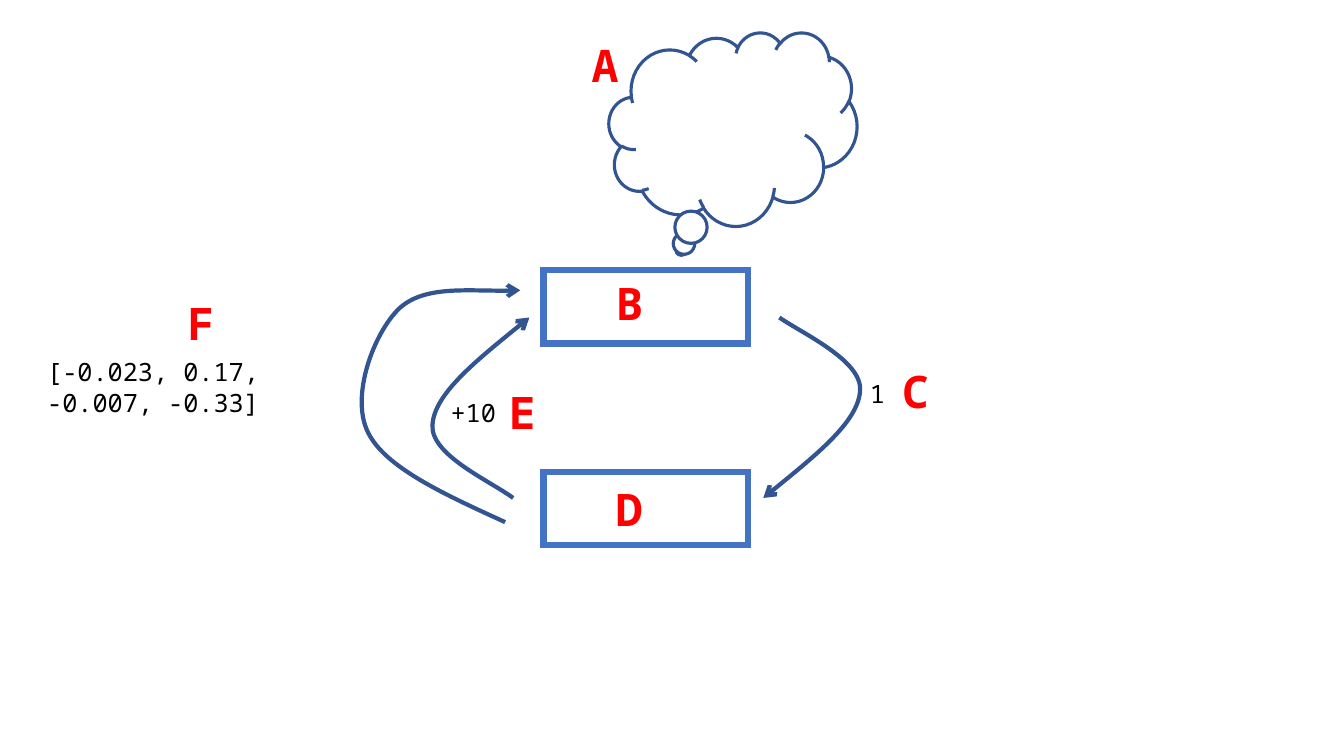
"""Builds a labelled feedback-loop slide with two boxes, a thought cloud and curved arrows."""
from lxml import etree
from pptx import Presentation
from pptx.dml.color import RGBColor
from pptx.enum.shapes import MSO_SHAPE as Preset
from pptx.oxml.ns import qn
from pptx.util import Inches, Pt

FONT = "Noto Sans Mono"
WHITE, BLACK, RED, BLUE, NAVY = "FFFFFF", "000000", "FF0000", "4472C4", "325491"

BOX_LEFT, BOX_WIDTH, BOX_HEIGHT = 5.39, 2.03, 0.73
BOX_TOPS = [2.68, 4.68]
CLOUD = (6.04, 0.32, 2.46, 1.92)
ARROWS = [
    [(5.09, 4.94), (4.86, 4.77), (4.26, 4.51), (4.29, 4.21),
     (4.31, 3.91), (4.78, 3.53), (5.25, 3.15)],
    [(7.73, 3.15), (7.96, 3.31), (8.56, 3.58), (8.53, 3.88),
     (8.51, 4.18), (8.04, 4.56), (7.57, 4.94)],
    [(5.01, 5.18), (4.42, 4.91), (3.82, 4.64), (3.65, 4.29),
     (3.47, 3.93), (3.71, 3.3), (3.96, 3.06),
     (4.21, 2.83), (4.74, 2.9), (5.16, 2.88)],
]
VALUES = [
    ("[-0.023, 0.17, -0.007, -0.33]", 0.37, 3.49),
    ("+10", 4.37, 3.89),
    ("1", 8.53, 3.7),
]
LETTERS = [
    ("A", 5.77, 0.32),
    ("B", 6.01, 2.69),
    ("C", 8.85, 3.56),
    ("D", 6.01, 4.73),
    ("E", 4.95, 3.77),
    ("F", 1.76, 2.88),
]


def color(hex_text):
    return RGBColor.from_string(hex_text)


def set_outline(shape, line_color, points):
    shape.shadow.inherit = False
    shape.line.color.rgb = color(line_color)
    shape.line.width = Pt(points)
    return shape.line._get_or_add_ln()


def add_outlined(slide, preset, place, line_color, points):
    shape = slide.shapes.add_shape(preset, *map(Inches, place))
    shape.fill.solid()
    shape.fill.fore_color.rgb = color(WHITE)
    outline = set_outline(shape, line_color, points)
    etree.SubElement(outline, qn("a:miter"), lim="800000")


def add_curved_arrow(slide, points):
    start, *rest = [(Inches(x), Inches(y)) for x, y in points]
    builder = slide.shapes.build_freeform(*start)
    builder.add_line_segments(rest, close=False)
    arrow = builder.convert_to_shape()
    arrow.fill.background()
    outline = set_outline(arrow, NAVY, 3)
    etree.SubElement(outline, qn("a:tailEnd"), type="arrow")
    segments = list(arrow._element.iter(qn("a:lnTo")))
    for first in range(0, len(segments), 3):
        curve = etree.SubElement(segments[first].getparent(), qn("a:cubicBezTo"))
        for segment in segments[first:first + 3]:
            curve.append(segment[0])
            segment.getparent().remove(segment)


def add_text(slide, text, place, size, text_color, bold=False):
    frame = slide.shapes.add_textbox(*map(Inches, place)).text_frame
    frame.word_wrap = True
    run = frame.paragraphs[0].add_run()
    run.text = text
    run.font.name = FONT
    run.font.size = Pt(size)
    run.font.bold = bold
    run.font.color.rgb = color(text_color)


def main():
    deck = Presentation()
    deck.slide_width, deck.slide_height = Inches(13.33), Inches(7.5)
    slide = deck.slides.add_slide(deck.slide_layouts[6])
    for top in BOX_TOPS:
        add_outlined(slide, Preset.RECTANGLE, (BOX_LEFT, top, BOX_WIDTH, BOX_HEIGHT), BLUE, 4.5)
    for points in ARROWS:
        add_curved_arrow(slide, points)
    for text, left, top in VALUES:
        add_text(slide, text, (left, top, 3.32, 0.4), 18, BLACK)
    add_outlined(slide, Preset.CLOUD_CALLOUT, CLOUD, NAVY, 2.25)
    for letter, left, top in LETTERS:
        add_text(slide, letter, (left, top, 0.54, 0.65), 32, RED, bold=True)
    deck.save("out.pptx")


if __name__ == "__main__":
    main()
